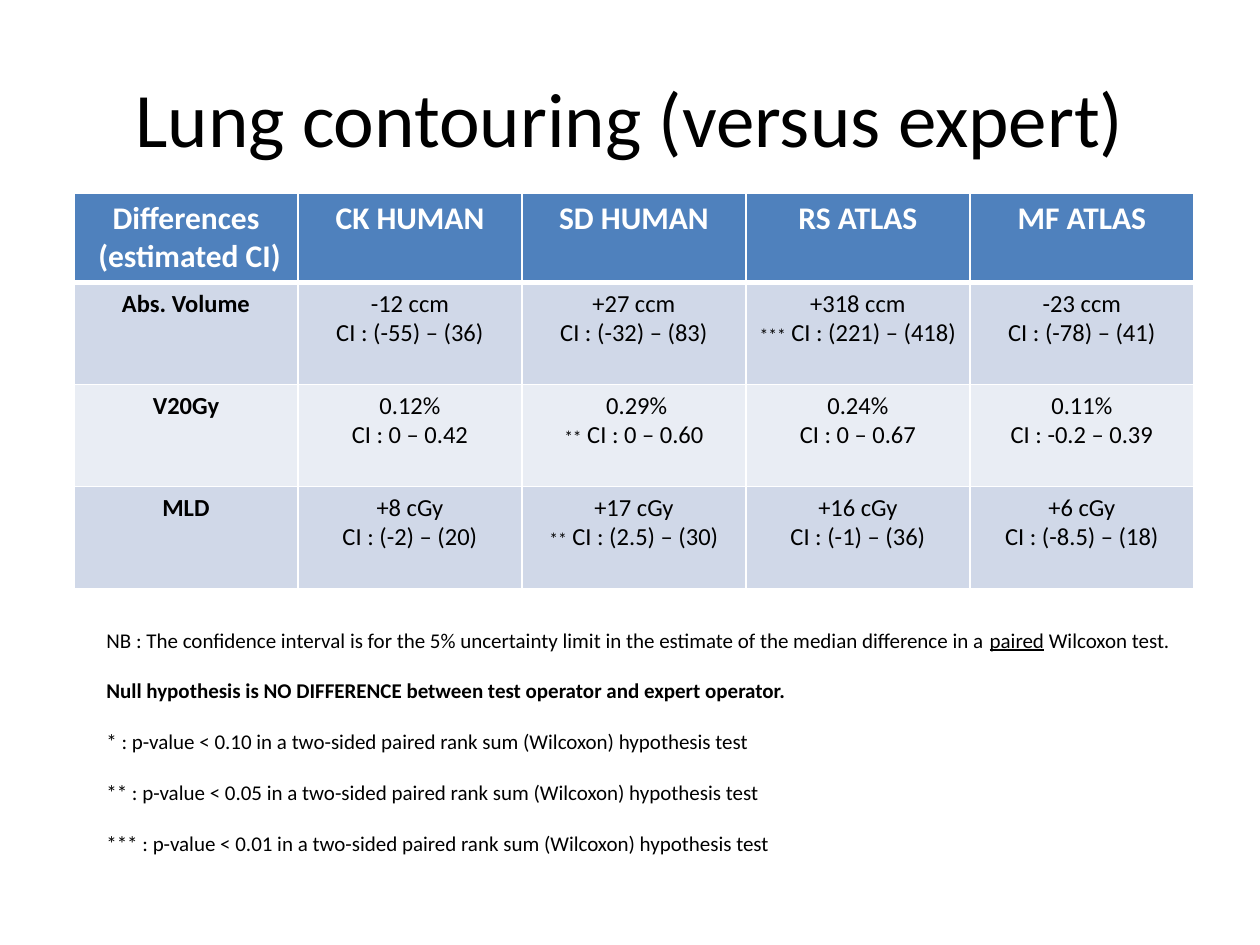
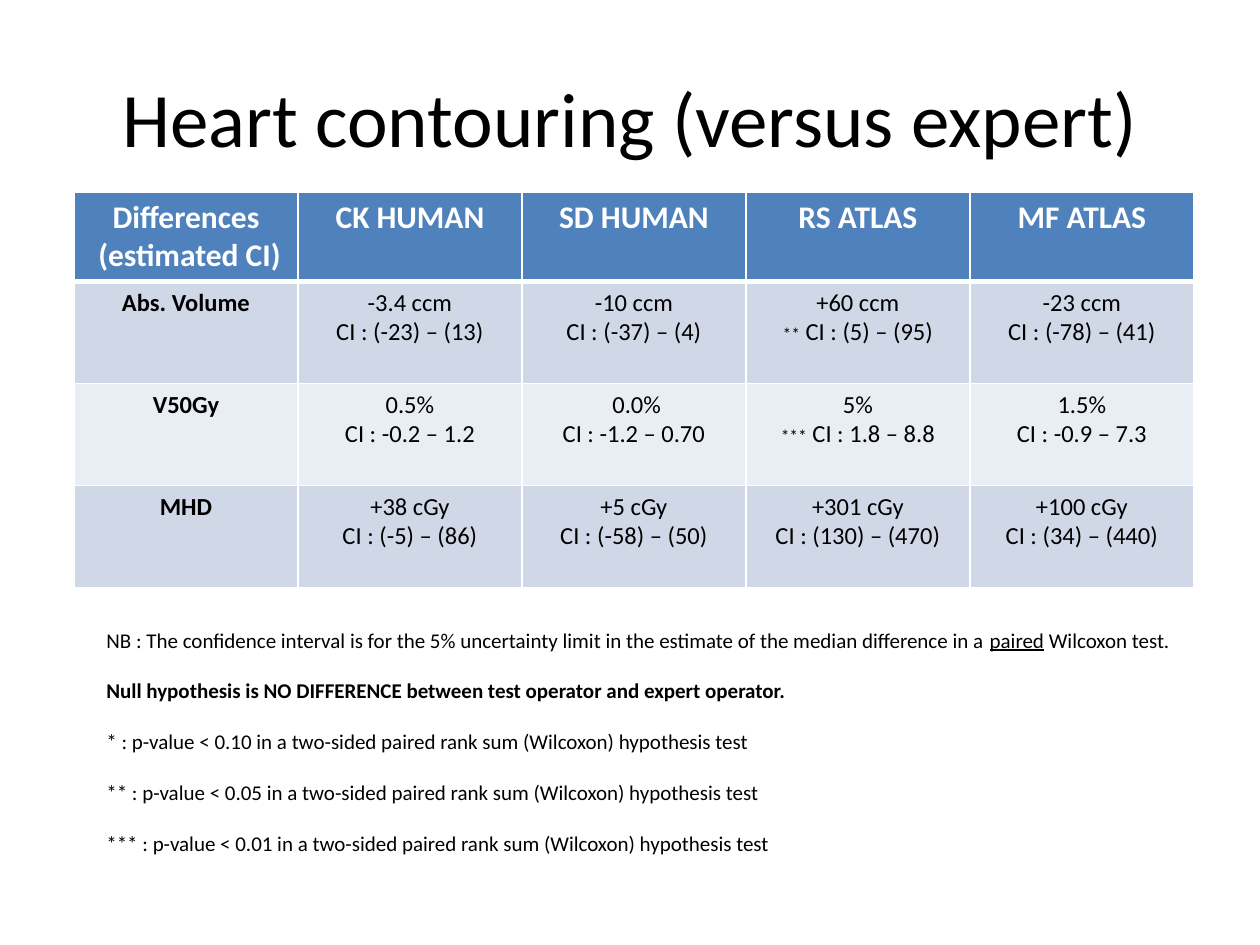
from dataclasses import dataclass

from lxml.etree import SubElement
from pptx import Presentation
from pptx.dml.color import RGBColor
from pptx.enum.text import MSO_ANCHOR, MSO_AUTO_SIZE, PP_ALIGN
from pptx.oxml.ns import qn
from pptx.util import Emu, Pt

PIXELS_PER_INCH = 126
TITLE_ONLY_LAYOUT = 5


def px(pixels: int) -> Emu:
    return Emu(round(pixels * 914400 / PIXELS_PER_INCH))


@dataclass(frozen=True)
class Theme:
    font: str = "Calibri"
    ink: str = "000000"
    white: str = "FFFFFF"
    header_fill: str = "4F81BD"
    band_fills: tuple[str, str] = ("D0D8E8", "E9EDF4")
    title_size: float = 44
    header_size: float = 18
    cell_size: float = 14
    stars_size: float = 10
    note_size: float = 12
    note_gap: float = 14.6
    grid_line: float = 1
    header_line: float = 3


@dataclass(frozen=True)
class Box:
    left: int
    top: int
    width: int
    height: int


@dataclass(frozen=True)
class Span:
    text: str
    size: float
    color: str = "000000"
    bold: bool = False
    underline: bool = False


@dataclass(frozen=True)
class Estimate:
    median: str
    interval: str
    stars: str = ""


@dataclass(frozen=True)
class Measure:
    label: str
    estimates: tuple[Estimate, ...]


@dataclass(frozen=True)
class Comparison:
    title: str
    table_top: int
    measures: tuple[Measure, ...]


THEME = Theme()
TITLE_BOX = Box(63, 38, 1134, 157)
NOTES_BOX = Box(94, 621, 1122, 242)
TABLE_LEFT = 74
COLUMN_WIDTH = 224
HEADER_HEIGHT = 88
MEASURE_HEIGHT = 102

HEADINGS = (
    ("Differences", " (estimated CI)"),
    ("CK HUMAN",),
    ("SD HUMAN",),
    ("RS ATLAS",),
    ("MF ATLAS",),
)

P_VALUE_LIMITS = {"*": "0.10", "**": "0.05", "***": "0.01"}

COMPARISONS = (
    Comparison("Lung contouring (versus expert)", 193, (
        Measure("Abs. Volume", (
            Estimate("-12 ccm", "(-55) – (36)"),
            Estimate("+27 ccm", "(-32) – (83)"),
            Estimate("+318 ccm", "(221) – (418)", "***"),
            Estimate("-23 ccm", "(-78) – (41)"),
        )),
        Measure("V20Gy", (
            Estimate("0.12%", "0 – 0.42"),
            Estimate(" 0.29%", "0 – 0.60", "**"),
            Estimate("0.24%", "0 – 0.67"),
            Estimate("0.11%", "-0.2 – 0.39"),
        )),
        Measure("MLD", (
            Estimate("+8 cGy", "(-2) – (20)"),
            Estimate("+17 cGy", "(2.5) – (30)", "**"),
            Estimate("+16 cGy", "(-1) – (36)"),
            Estimate("+6 cGy", "(-8.5) – (18)"),
        )),
    )),
    Comparison("Heart contouring (versus expert)", 192, (
        Measure("Abs. Volume", (
            Estimate("-3.4 ccm", "(-23) – (13)"),
            Estimate("-10 ccm", "(-37) – (4)"),
            Estimate("+60 ccm", "(5) – (95)", "**"),
            Estimate("-23 ccm", "(-78) – (41)"),
        )),
        Measure("V50Gy", (
            Estimate("0.5%", "-0.2 – 1.2"),
            Estimate(" 0.0%", "-1.2 – 0.70"),
            Estimate("5%", "1.8 – 8.8", "***"),
            Estimate("1.5%", "-0.9 – 7.3"),
        )),
        Measure("MHD", (
            Estimate("+38 cGy", "(-5) – (86)"),
            Estimate("+5 cGy", "(-58) – (50)"),
            Estimate("+301 cGy", "(130) – (470)"),
            Estimate("+100 cGy", "(34) – (440)"),
        )),
    )),
)


def write_lines(text_frame, lines: list[list[Span]], align: PP_ALIGN, gap: float = 0) -> None:
    for index, spans in enumerate(lines):
        paragraph = text_frame.add_paragraph() if index else text_frame.paragraphs[0]
        paragraph.alignment = align
        if index and gap:
            paragraph.space_before = Pt(gap)
        for span in spans:
            run = paragraph.add_run()
            run.text = span.text
            run.font.name = THEME.font
            run.font.size = Pt(span.size)
            run.font.bold = span.bold
            run.font.underline = span.underline
            run.font.color.rgb = RGBColor.from_string(span.color)


def draw_borders(cell, top: float, bottom: float) -> None:
    properties = cell._tc.get_or_add_tcPr()
    widths = {"a:lnL": THEME.grid_line, "a:lnR": THEME.grid_line, "a:lnT": top, "a:lnB": bottom}
    for side, width in widths.items():
        border = SubElement(properties, qn(side), w=str(Pt(width)))
        paint = SubElement(border, qn("a:solidFill"))
        SubElement(paint, qn("a:srgbClr"), val=THEME.white)


def fill_cell(cell, lines: list[list[Span]], fill: str, top: float, bottom: float) -> None:
    write_lines(cell.text_frame, lines, PP_ALIGN.CENTER)
    draw_borders(cell, top, bottom)
    cell.fill.solid()
    cell.fill.fore_color.rgb = RGBColor.from_string(fill)


def estimate_lines(estimate: Estimate) -> list[list[Span]]:
    interval = f"CI : {estimate.interval}"
    if estimate.stars:
        interval_spans = [
            Span(estimate.stars, THEME.stars_size),
            Span(f" {interval}", THEME.cell_size),
        ]
    else:
        interval_spans = [Span(interval, THEME.cell_size)]
    return [[Span(estimate.median, THEME.cell_size)], interval_spans]


def add_title(slide, text: str) -> None:
    title = slide.shapes.title
    title.left, title.top = px(TITLE_BOX.left), px(TITLE_BOX.top)
    title.width, title.height = px(TITLE_BOX.width), px(TITLE_BOX.height)
    title.text_frame.vertical_anchor = MSO_ANCHOR.MIDDLE
    write_lines(title.text_frame, [[Span(text, THEME.title_size, THEME.ink)]], PP_ALIGN.CENTER)


def add_differences(slide, comparison: Comparison) -> None:
    row_heights = [HEADER_HEIGHT] + [MEASURE_HEIGHT] * len(comparison.measures)
    differences = slide.shapes.add_table(
        len(row_heights), len(HEADINGS), px(TABLE_LEFT), px(comparison.table_top),
        px(COLUMN_WIDTH * len(HEADINGS)), px(sum(row_heights)),
    ).table
    for column in differences.columns:
        column.width = px(COLUMN_WIDTH)
    for row, height in zip(differences.rows, row_heights):
        row.height = px(height)

    for column_index, heading in enumerate(HEADINGS):
        lines = [[Span(line, THEME.header_size, THEME.white, bold=True)] for line in heading]
        fill_cell(differences.cell(0, column_index), lines, THEME.header_fill,
                  THEME.grid_line, THEME.header_line)

    for row_index, measure in enumerate(comparison.measures, start=1):
        fill = THEME.band_fills[(row_index - 1) % 2]
        top = THEME.header_line if row_index == 1 else THEME.grid_line
        label = [[Span(measure.label, THEME.cell_size, bold=True)]]
        contents = [label] + [estimate_lines(estimate) for estimate in measure.estimates]
        for column_index, lines in enumerate(contents):
            fill_cell(differences.cell(row_index, column_index), lines, fill,
                      top, THEME.grid_line)


def add_notes(slide) -> None:
    size = THEME.note_size
    lines = [
        [
            Span("NB : The confidence interval is for the 5% uncertainty limit "
                 "in the estimate of the median difference in a ", size),
            Span("paired", size, underline=True),
            Span(" Wilcoxon test.", size),
        ],
        [Span("Null hypothesis is NO DIFFERENCE between test operator and expert operator.",
              size, bold=True)],
    ]
    lines += [
        [Span(f"{stars} : p-value < {limit} in a two-sided paired rank sum "
              "(Wilcoxon) hypothesis test", size)]
        for stars, limit in P_VALUE_LIMITS.items()
    ]
    notes = slide.shapes.add_textbox(
        px(NOTES_BOX.left), px(NOTES_BOX.top), px(NOTES_BOX.width), px(NOTES_BOX.height)
    ).text_frame
    notes.word_wrap = True
    notes.auto_size = MSO_AUTO_SIZE.SHAPE_TO_FIT_TEXT
    write_lines(notes, lines, PP_ALIGN.LEFT, THEME.note_gap)


def add_comparison(presentation, comparison: Comparison) -> None:
    slide = presentation.slides.add_slide(presentation.slide_layouts[TITLE_ONLY_LAYOUT])
    add_title(slide, comparison.title)
    add_differences(slide, comparison)
    add_notes(slide)


def main() -> None:
    presentation = Presentation()
    presentation.slide_width, presentation.slide_height = px(1260), px(945)
    for comparison in COMPARISONS:
        add_comparison(presentation, comparison)
    presentation.save("out.pptx")


main()
